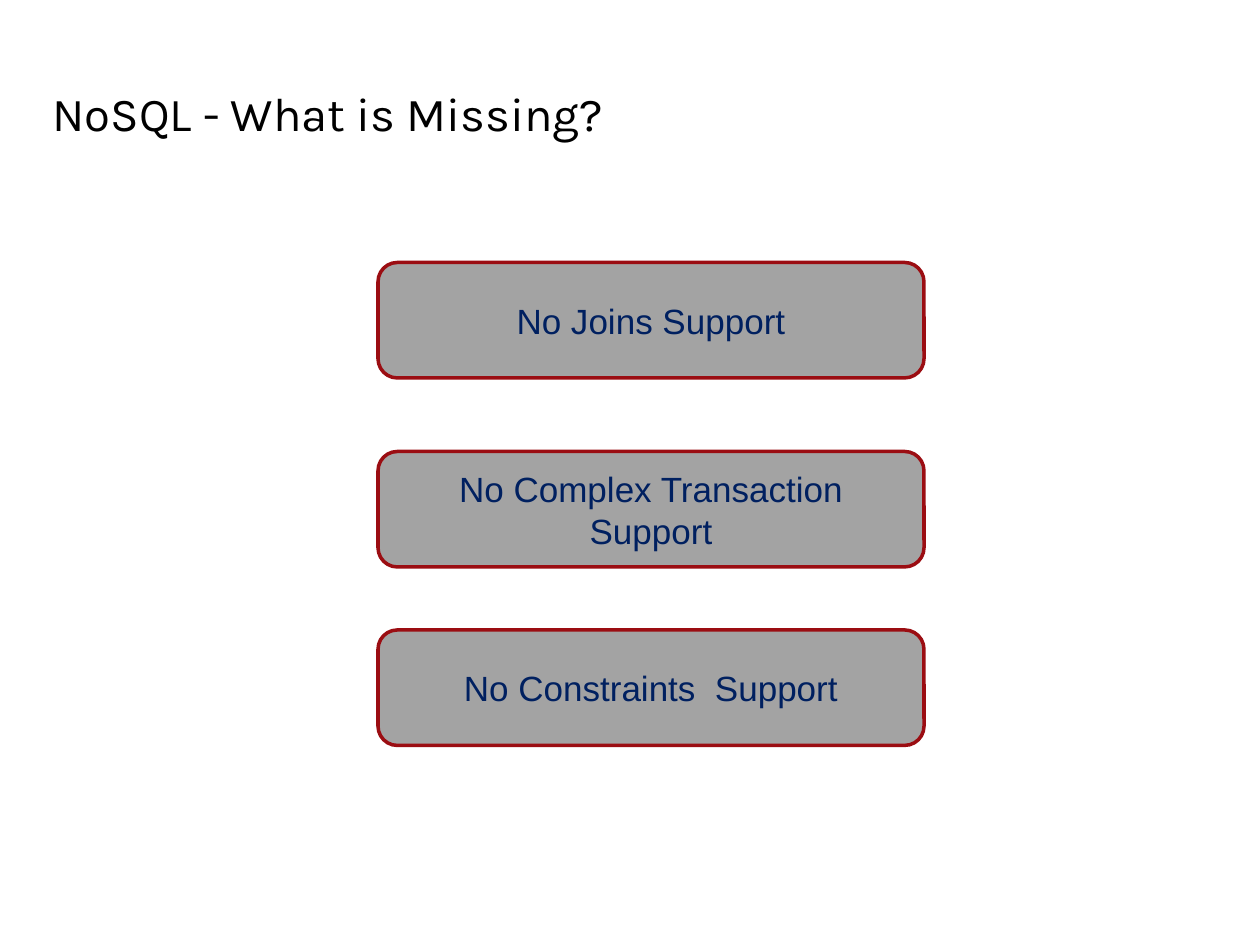
from pptx import Presentation
from pptx.dml import color
from pptx.enum import shapes, text
from pptx.util import Pt

HUES = {"ink": "000000", "fill": "A3A3A3", "edge": "9B0D12", "label": "002060"}
GAPS = [
    (150, "No Joins Support"),
    (258, "No Complex Transaction Support"),
    (360, "No Constraints  Support"),
]


def hue(name):
    return color.RGBColor.from_string(HUES[name])


def style(frame, font, size, name):
    for run in frame.paragraphs[0].runs:
        run.font.name = font
        run.font.size = Pt(size)
        run.font.color.rgb = hue(name)


def add_title(slide, words, left, top, width, height):
    box = slide.shapes.add_textbox(Pt(left), Pt(top), Pt(width), Pt(height))
    frame = box.text_frame
    frame.word_wrap = True
    frame.margin_left = frame.margin_right = 0
    frame.margin_top = frame.margin_bottom = 0
    frame.text = words
    style(frame, "Karla", 27, "ink")


def add_card(slide, words, left, top, width, height):
    card = slide.shapes.add_shape(
        shapes.MSO_SHAPE.ROUNDED_RECTANGLE,
        Pt(left), Pt(top), Pt(width), Pt(height))
    card.shadow.inherit = False
    card.fill.solid()
    card.fill.fore_color.rgb = hue("fill")
    card.line.color.rgb = hue("edge")
    card.line.width = Pt(2)
    frame = card.text_frame
    frame.word_wrap = True
    frame.vertical_anchor = text.MSO_ANCHOR.MIDDLE
    frame.text = words
    frame.paragraphs[0].alignment = text.PP_ALIGN.CENTER
    style(frame, "Arial", 20, "label")


def main():
    deck = Presentation()
    deck.slide_width, deck.slide_height = Pt(720), Pt(540)
    slide = deck.slides.add_slide(deck.slide_layouts[6])
    add_title(slide, "NoSQL - What is Missing?", 30, 48, 648, 48)
    for top, words in GAPS:
        add_card(slide, words, 216, top, 312, 66)
    deck.save("out.pptx")


if __name__ == "__main__":
    main()
